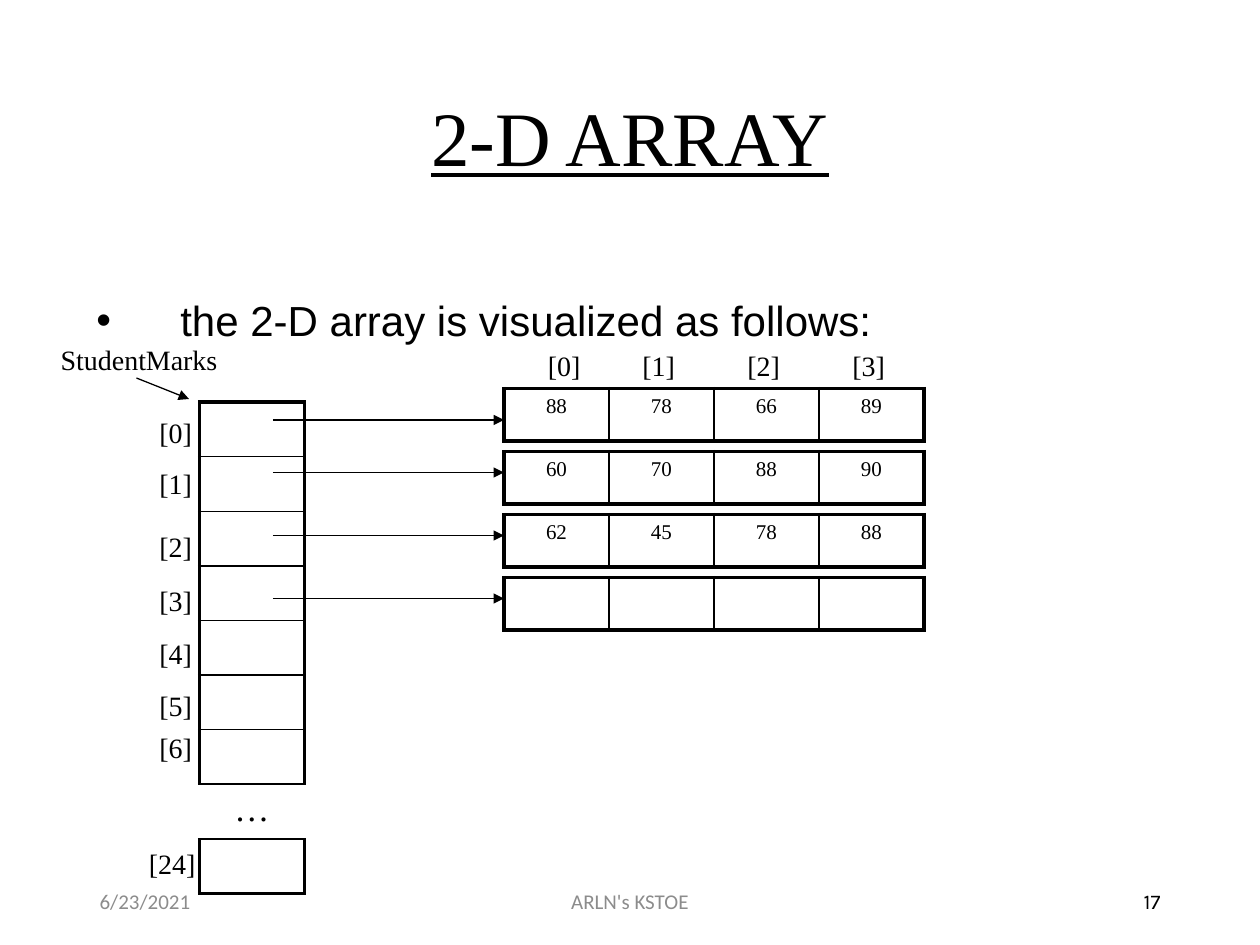
from lxml.etree import SubElement
from pptx import Presentation
from pptx.dml.color import RGBColor
from pptx.enum.shapes import MSO_CONNECTOR
from pptx.enum.text import MSO_ANCHOR, PP_ALIGN
from pptx.oxml import parse_xml
from pptx.oxml.ns import nsdecls, qn
from pptx.util import Inches, Pt

BLACK = RGBColor(0x00, 0x00, 0x00)
GRAY = RGBColor(0x8C, 0x8C, 0x8C)
SERIF = "Times New Roman"
CELLS_PER_INCH = 12
THICK, THIN, HAIR = 2.25, 1, 0.75

TITLE = {"name": SERIF, "size": Pt(44), "underline": True}
BODY = {"name": "Arial", "size": Pt(24)}
LABEL = {"name": SERIF, "size": Pt(16)}
MARK = {"name": SERIF, "size": Pt(12)}
ELLIPSIS = {"name": SERIF, "size": Pt(20)}
FOOTER = {"name": "Calibri", "size": Pt(12)}
PAGE_NUMBER = {"name": "Karla", "size": Pt(12)}

MARKS = [["88", "78", "66", "89"], ["60", "70", "88", "90"],
         ["62", "45", "78", "88"], [""] * 4]
MARK_ROWS = [37, 43, 49, 55]
ARROW_ROWS = [40, 45, 51, 57]
ARRAY_CELLS = [[""]] * 7 + [["…"], [""]]
ROW_LABELS = [("[0]", 39), ("[1]", 43.8), ("[2]", 49.8), ("[3]", 55),
              ("[4]", 60), ("[5]", 65), ("[6]", 69)]
COLUMN_LABELS = [("[0]", 51), ("[1]", 60), ("[2]", 70), ("[3]", 80)]


def grid(count):
    return Inches(count / CELLS_PER_INCH)


class SlideBuilder:
    def __init__(self, presentation):
        self.slide = presentation.slides.add_slide(presentation.slide_layouts[6])

    def fill_paragraph(self, paragraph, text, font_values, color=BLACK,
                       **paragraph_values):
        for name, value in paragraph_values.items():
            setattr(paragraph, name, value)
        run = paragraph.add_run()
        run.text = text
        for name, value in font_values.items():
            setattr(run.font, name, value)
        run.font.color.rgb = color

    def text(self, text, box, font_values, color=BLACK, wrap=True,
             anchor=MSO_ANCHOR.TOP, **paragraph_values):
        shape = self.slide.shapes.add_textbox(*map(grid, box))
        frame = shape.text_frame
        frame.word_wrap = wrap
        frame.vertical_anchor = anchor
        self.fill_paragraph(frame.paragraphs[0], text, font_values, color,
                            **paragraph_values)
        return frame.paragraphs[0]

    def label(self, text, column, row, width=5.5):
        self.text(text, (column, row, width, 4.4), LABEL, wrap=False)

    def bullet(self, text, box, font_values, **paragraph_values):
        paragraph = self.text(text, box, font_values, **paragraph_values)
        properties = paragraph._p.get_or_add_pPr()
        properties.set("marL", str(grid(8)))
        properties.set("indent", str(-grid(8)))
        SubElement(properties, qn("a:buFont"), typeface="Arial")
        SubElement(properties, qn("a:buChar"), char="•")

    def arrow(self, start, end):
        connector = self.slide.shapes.add_connector(
            MSO_CONNECTOR.STRAIGHT, *map(grid, start + end))
        connector.line.color.rgb = BLACK
        connector.line.width = Pt(HAIR)
        SubElement(connector.line._get_or_add_ln(), qn("a:tailEnd"), type="triangle")
        SubElement(connector._element.spPr, qn("a:effectLst"))

    def border(self, cell, widths):
        properties = cell._tc.get_or_add_tcPr()
        for position, (side, width) in enumerate(zip("LRTB", widths)):
            fill = (f'<a:solidFill><a:srgbClr val="{BLACK}"/></a:solidFill>'
                    if width else "<a:noFill/>")
            properties.insert(position, parse_xml(
                f'<a:ln{side} {nsdecls("a")} w="{Pt(width)}">{fill}</a:ln{side}>'))

    def table(self, values, column, row, cell_width, cell_height, font_values):
        rows, columns = len(values), len(values[0])
        table = self.slide.shapes.add_table(
            rows, columns, grid(column), grid(row),
            grid(columns * cell_width), grid(rows * cell_height)).table
        table.first_row = table.horz_banding = False
        for r, row_values in enumerate(values):
            for c, value in enumerate(row_values):
                cell = table.cell(r, c)
                cell.fill.background()
                left = THIN if c else THICK
                right = THIN if c < columns - 1 else THICK
                if value == "…":
                    left = right = 0
                self.border(cell, (left, right, THIN if r else THICK,
                                   THIN if r < rows - 1 else THICK))
                if value:
                    self.fill_paragraph(cell.text_frame.paragraphs[0], value,
                                        font_values, alignment=PP_ALIGN.CENTER)


def main():
    presentation = Presentation()
    presentation.slide_width = Inches(10)
    presentation.slide_height = Inches(7.5)
    builder = SlideBuilder(presentation)

    builder.text("2-D ARRAY", (8.3, 4.8, 103.4, 17.4), TITLE, anchor=MSO_ANCHOR.MIDDLE,
                 alignment=PP_ALIGN.CENTER, line_spacing=0.9)
    builder.bullet("the 2-D array is visualized as follows:", (8, 28, 109, 54), BODY,
                   alignment=PP_ALIGN.JUSTIFY, line_spacing=0.9, space_before=Pt(10))

    for text, column, width, font_values, color, alignment in [
            ("6/23/2021", 8.3, 27, FOOTER, GRAY, PP_ALIGN.LEFT),
            ("ARLN's KSTOE", 39.7, 40.6, FOOTER, GRAY, PP_ALIGN.CENTER),
            ("17", 84.7, 27, PAGE_NUMBER, BLACK, PP_ALIGN.RIGHT)]:
        builder.text(text, (column, 83.4, width, 4.8), font_values, color,
                     anchor=MSO_ANCHOR.MIDDLE, alignment=alignment)

    builder.table(ARRAY_CELLS, 19, 38.3, 10, 5.2, ELLIPSIS)
    for text, row in ROW_LABELS:
        builder.label(text, 14, row)
    builder.label("[24]", 13, 80, 6.8)
    builder.label("StudentMarks", 4.6, 32, 17.4)
    builder.arrow((13, 36), (18, 38))

    for marks, row in zip(MARKS, MARK_ROWS):
        builder.table([marks], 48, row, 10, 5, MARK)
    for row in ARROW_ROWS:
        builder.arrow((26, row), (48, row))
    for text, column in COLUMN_LABELS:
        builder.label(text, column, 32.6)

    presentation.save("out.pptx")


if __name__ == "__main__":
    main()
